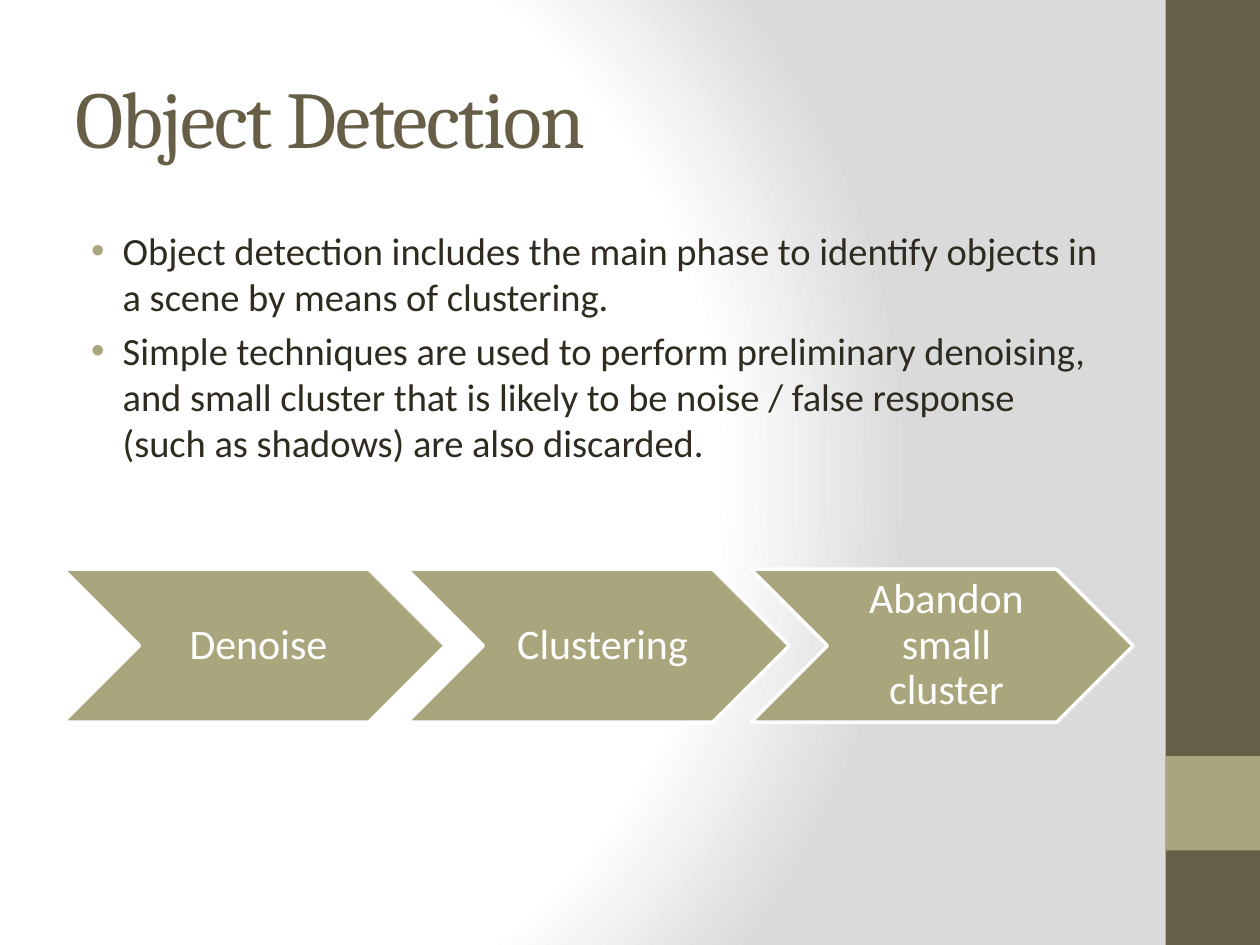
import dataclasses

import lxml.etree
import pptx
import pptx.dml.color
import pptx.enum.shapes
import pptx.enum.text
import pptx.oxml
import pptx.oxml.ns
import pptx.util

Pt = pptx.util.Pt
Shape = pptx.enum.shapes.MSO_SHAPE
Anchor = pptx.enum.text.MSO_ANCHOR
Align = pptx.enum.text.PP_ALIGN
qn = pptx.oxml.ns.qn


@dataclasses.dataclass(frozen=True)
class Theme:
    brown: str = "675E47"
    olive: str = "A9A57C"
    ink: str = "2F2B20"
    white: str = "FFFFFF"
    gray: str = "DADADA"
    heading_font: str = "Cambria"
    body_font: str = "Calibri"
    title_size: int = 46
    body_size: int = 22
    step_size: int = 24


def rgb(color):
    return pptx.dml.color.RGBColor.from_string(color)


def add_child(parent, tag, **attributes):
    return lxml.etree.SubElement(parent, qn(tag), attributes)


class SlideBuilder:
    def __init__(self, slide, theme):
        self.slide = slide
        self.theme = theme

    def background(self, stops):
        fill = self.slide.background.fill
        fill.gradient()
        gradient = self.slide.background._cSld.find(".//" + qn("a:gradFill"))
        for child in list(gradient):
            gradient.remove(child)
        stop_list = add_child(gradient, "a:gsLst")
        for percent, color in stops:
            stop = add_child(stop_list, "a:gs", pos=str(percent * 1000))
            add_child(stop, "a:srgbClr", val=color)
        circle = add_child(gradient, "a:path", path="circle")
        add_child(circle, "a:fillToRect", l="20000", t="50000", r="100000", b="50000")

    def shape(self, kind, left, top, width, height, color):
        shape = self.slide.shapes.add_shape(kind, Pt(left), Pt(top), Pt(width), Pt(height))
        shape.shadow.inherit = False
        shape.fill.solid()
        shape.fill.fore_color.rgb = rgb(color)
        shape.line.fill.background()
        return shape

    def text_box(self, left, top, width, height, anchor):
        box = self.slide.shapes.add_textbox(Pt(left), Pt(top), Pt(width), Pt(height))
        box.text_frame.word_wrap = True
        box.text_frame.vertical_anchor = anchor
        return box.text_frame

    def style(self, para, name, size, color):
        para.font.name = name
        para.font.size = Pt(size)
        para.font.color.rgb = rgb(color)

    def title(self, text, left, top, width, height):
        para = self.text_box(left, top, width, height, Anchor.MIDDLE).paragraphs[0]
        span = para.add_run()
        span.text = text
        span.font._element.set("spc", "-100")
        self.style(para, self.theme.heading_font, self.theme.title_size, self.theme.brown)

    def bullets(self, items, left, top, width, height):
        frame = self.text_box(left, top, width, height, Anchor.TOP)
        for index, item in enumerate(items):
            para = frame.add_paragraph() if index else frame.paragraphs[0]
            para.text = item
            properties = para._p.get_or_add_pPr()
            properties.set("marL", str(Pt(27)))
            properties.set("indent", str(Pt(-18)))
            bullet_color = add_child(properties, "a:buClr")
            add_child(bullet_color, "a:srgbClr", val=self.theme.olive)
            add_child(properties, "a:buFont", typeface="Arial")
            add_child(properties, "a:buChar", char="•")
            if index:
                para.space_before = Pt(4.4)
            self.style(para, self.theme.body_font, self.theme.body_size, self.theme.ink)

    def step(self, text, left, top, width, height):
        chevron = self.shape(Shape.CHEVRON, left, top, width, height, self.theme.olive)
        chevron.line.color.rgb = rgb(self.theme.white)
        chevron.line.width = Pt(2)
        frame = chevron.text_frame
        frame.word_wrap = True
        frame.vertical_anchor = Anchor.MIDDLE
        frame.margin_left = Pt(7.5)
        frame.margin_right = frame.margin_top = frame.margin_bottom = Pt(2.5)
        para = frame.paragraphs[0]
        para.text = text
        para.alignment = Align.CENTER
        para.line_spacing = 0.9
        self.style(para, self.theme.body_font, self.theme.step_size, self.theme.white)


def main():
    theme = Theme()
    deck = pptx.Presentation()
    deck.slide_width, deck.slide_height = Pt(720), Pt(540)
    builder = SlideBuilder(deck.slides.add_slide(deck.slide_layouts[6]), theme)

    builder.background([(0, theme.white), (75, theme.white), (100, theme.gray)])
    builder.shape(Shape.RECTANGLE, 666, 0, 54, 540, theme.brown)
    builder.shape(Shape.RECTANGLE, 666, 432, 54, 54, theme.olive)
    builder.title("Object Detection", 36, 21.6, 600, 90)
    builder.bullets(
        [
            "Object detection includes the main phase to identify objects in a scene "
            "by means of clustering.",
            "Simple techniques are used to perform preliminary denoising, and small cluster "
            "that is likely to be noise / false response (such as shadows) are also discarded.",
        ],
        36, 126, 600, 378,
    )

    step_width = 218.4
    step_pitch = step_width * 0.9
    for index, label in enumerate(["Denoise", "Clustering", "Abandon small cluster"]):
        builder.step(label, 36 + index * step_pitch, 325.3, step_width, step_width * 0.4)

    deck.save("out.pptx")


if __name__ == "__main__":
    main()
